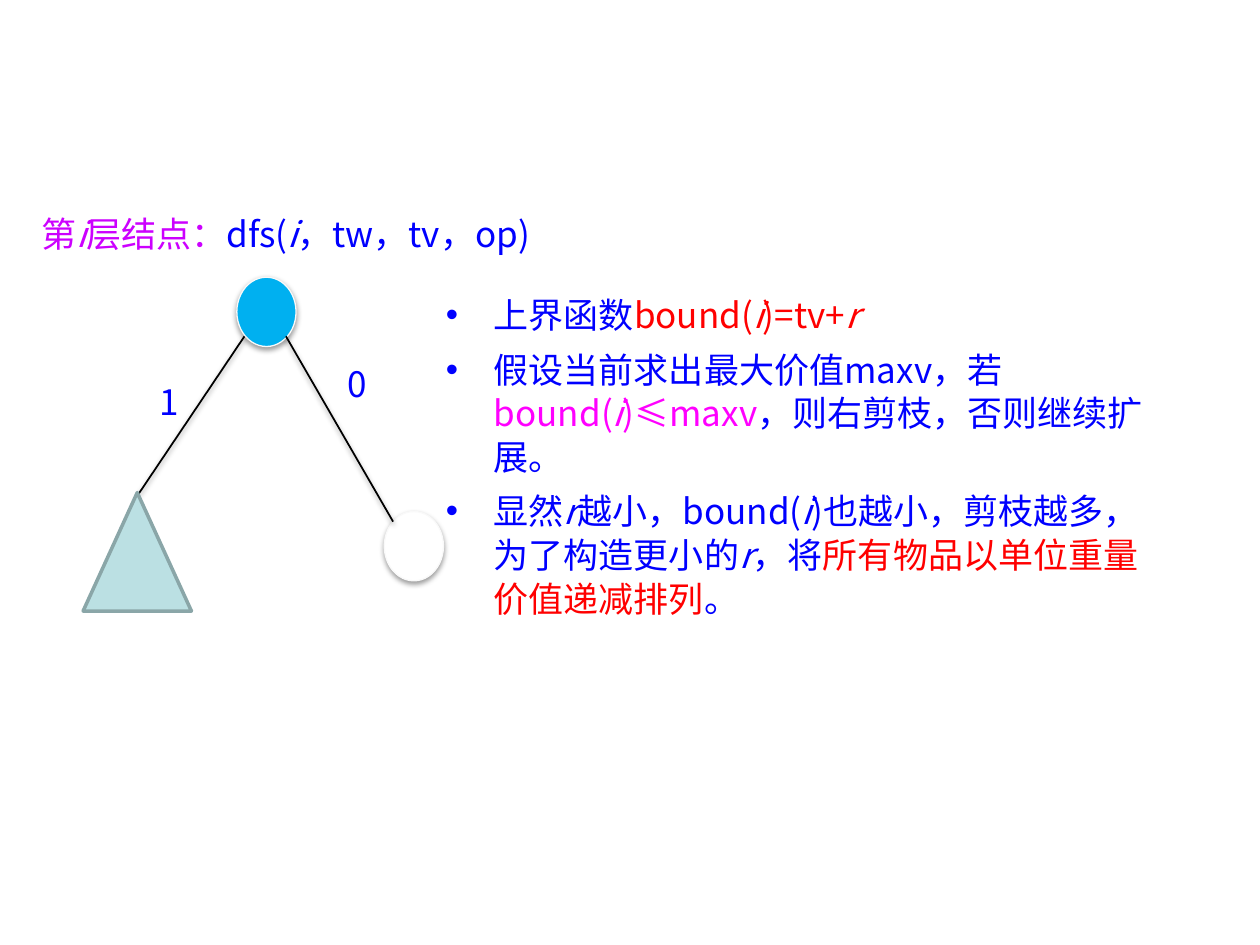
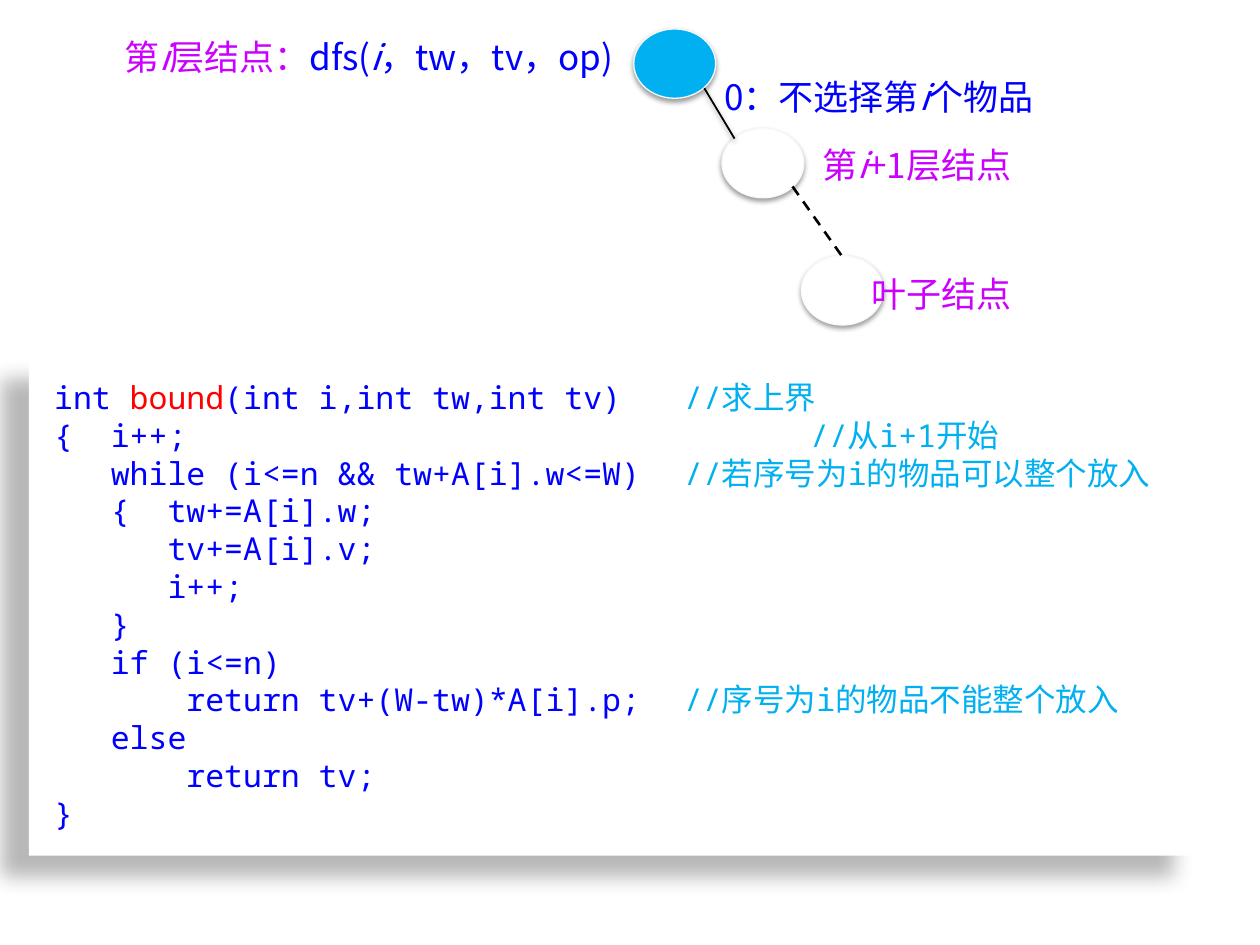
from dataclasses import dataclass
from lxml import etree
from pptx import Presentation
from pptx.dml.color import RGBColor
from pptx.enum.dml import MSO_LINE
from pptx.enum.shapes import MSO_CONNECTOR, MSO_SHAPE
from pptx.enum.text import MSO_ANCHOR, MSO_AUTO_SIZE, PP_ALIGN
from pptx.oxml.ns import qn
from pptx.util import Inches, Pt

ELLIPSE, TRIANGLE, RECTANGLE = MSO_SHAPE.OVAL, MSO_SHAPE.ISOSCELES_TRIANGLE, MSO_SHAPE.RECTANGLE
STRAIGHT, DASH = MSO_CONNECTOR.STRAIGHT, MSO_LINE.DASH
TOP, LEFT, GROW = MSO_ANCHOR.TOP, PP_ALIGN.LEFT, MSO_AUTO_SIZE.SHAPE_TO_FIT_TEXT


@dataclass(frozen=True)
class Theme:
    blue: str = "0000FF"
    red: str = "FF0000"
    pink: str = "FF00FF"
    purple: str = "CC00FF"
    sky: str = "00B0F0"
    white: str = "FFFFFF"
    black: str = "000000"
    node_edge: str = "F9F9F9"
    subtree: str = "BBE0E3"
    subtree_edge: str = "8AA6A8"
    text_font: str = "Noto Sans CJK SC"
    code_font: str = "Noto Sans Mono"
    text_size: int = 20
    code_size: int = 18
    # opacity %, blur pt, distance pt, direction in degrees
    soft_shadow: tuple = (38, 3.1, 1.6, 90)
    panel_shadow: tuple = (28, 11.8, 19.7, 141)


THEME = Theme()
BLUE, RED, PINK, PURPLE, SKY = THEME.blue, THEME.red, THEME.pink, THEME.purple, THEME.sky


def italic(text, color):
    return text, color, True


# Content: a paragraph is a list of runs (text, colour[, italic])
NODE_CALL = [("第", PURPLE), italic("i", PURPLE), ("层结点：", PURPLE),
             ("dfs(", BLUE), italic("i", BLUE), ("，tw，tv，op)", BLUE)]

BOUND_NOTES = [
    [("上界函数", BLUE), ("bound(", RED), italic("i", RED), (")=tv+", RED), italic("r", RED)],
    [("假设当前求出最大价值maxv，若", BLUE), ("bound(", PINK), italic("i", PINK),
     (")≤maxv", PINK), ("，则右剪枝，否则继续扩展。", BLUE)],
    [("显然", BLUE), italic("r", BLUE), ("越小，bound(", BLUE), italic("i", BLUE),
     (")也越小，剪枝越多，为了构造更小的", BLUE), italic("r", BLUE), ("，将", BLUE),
     ("所有物品以单位重量价值递减排列", RED), ("。", BLUE)],
]

BOUND_CODE = [
    [("int ", BLUE), ("bound", RED), ("(int i,int tw,int tv)\t", BLUE), ("//求上界", SKY)],
    [("{  i++;\t\t\t\t\t", BLUE), ("//从i+1开始", SKY)],
    [("   while (i<=n && tw+A[i].w<=W)\t", BLUE), ("//若序号为i的物品可以整个放入", SKY)],
    [("   {  tw+=A[i].w;", BLUE)],
    [("      tv+=A[i].v;", BLUE)],
    [("      i++;", BLUE)],
    [("   }", BLUE)],
    [("   if (i<=n)", BLUE)],
    [("       return tv+(W-tw)*A[i].p;\t", BLUE), ("//序号为i的物品不能整个放入", SKY)],
    [("   else", BLUE)],
    [("       return tv;", BLUE)],
    [("}", BLUE)],
]

# Branch diagram: left, top, width of boxes; left, top of nodes; start, end of edges
BRANCH_LABELS = [
    ((0.23, 1.64, 4.38), NODE_CALL),
    ((1.17, 2.97, 0.39), [("1", BLUE)]),
    ((2.66, 2.83, 0.47), [("0", BLUE)]),
]
BRANCH_NODES = [((1.88, 2.2), SKY), ((3.05, 4.06), THEME.white)]
BRANCH_EDGES = [((1.94, 2.67), (1.1, 3.92)), ((2.27, 2.67), (3.12, 4.14))]

# Right-hand path down to a leaf
PATH_LABELS = [
    ((0.89, 0.23, 5.77), NODE_CALL),
    ((6.43, 1.09, 2.5), [("第", PURPLE), italic("i", PURPLE), ("+1层结点", PURPLE)]),
    ((5.65, 0.55, 3.27), [("0：不选择第", BLUE), italic("i", BLUE), ("个物品", BLUE)]),
    ((6.82, 2.11, 1.74), [("叶子结点", PURPLE)]),
]
PATH_NODES = [((5.03, 0.23), SKY), ((5.73, 1.02), THEME.white), ((6.36, 2.03), THEME.white)]

NODE_HEIGHT = 0.55
LABEL_HEIGHT = 0.44


def rgb(color):
    return RGBColor.from_string(color)


def set_shadow(shape, shadow=None):
    """Replace the theme shadow with the given one, or with none."""
    properties = shape._element.spPr
    effects = etree.SubElement(properties, qn("a:effectLst"))
    if shadow:
        opacity, blur, distance, direction = shadow
        outer = etree.SubElement(effects, qn("a:outerShdw"), blurRad=str(Pt(blur)),
                                 dist=str(Pt(distance)), dir=str(direction * 60000),
                                 algn="ctr", rotWithShape="0")
        color = etree.SubElement(outer, qn("a:srgbClr"), val=THEME.black)
        etree.SubElement(color, qn("a:alpha"), val=str(opacity * 1000))


def add_runs(paragraph, runs, font_name, size):
    for text, color, *slant in runs:
        run = paragraph.add_run()
        run.text = text
        run.font.size = Pt(size)
        run.font.italic = bool(slant)
        run.font.color.rgb = rgb(color)
        run.font.name = font_name
        etree.SubElement(run._r.get_or_add_rPr(), qn("a:ea"), typeface=font_name)


def fill_frame(frame, paragraphs, font_name, size, prepare=None):
    frame.word_wrap = True
    frame.auto_size = GROW
    frame.vertical_anchor = TOP
    for index, runs in enumerate(paragraphs):
        paragraph = frame.paragraphs[0] if index == 0 else frame.add_paragraph()
        paragraph.alignment = LEFT
        if prepare:
            prepare(paragraph, index)
        add_runs(paragraph, runs, font_name, size)


def make_bullet(paragraph, index):
    properties = paragraph._p.get_or_add_pPr()
    properties.set("marL", str(Inches(0.38)))
    properties.set("indent", str(-Inches(0.38)))
    etree.SubElement(properties, qn("a:buFont"), typeface="Arial")
    etree.SubElement(properties, qn("a:buChar"), char="•")
    paragraph.line_spacing = Pt(25)
    paragraph.space_before = Pt(6 if index else 0)


def add_code_tabs(paragraph, index):
    tabs = etree.SubElement(paragraph._p.get_or_add_pPr(), qn("a:tabLst"))
    for stop in range(1, 7):
        etree.SubElement(tabs, qn("a:tab"), pos=str(Inches(stop)), algn="l")


def add_text(slide, box, paragraphs, prepare=None):
    shape = slide.shapes.add_textbox(*map(Inches, box))
    fill_frame(shape.text_frame, paragraphs, THEME.text_font, THEME.text_size, prepare)


def add_label(slide, label):
    box, runs = label
    add_text(slide, (*box, LABEL_HEIGHT), [runs])


def add_figure(slide, kind, box, fill, edge=None, edge_width=0.75, shadow=None):
    shape = slide.shapes.add_shape(kind, *map(Inches, box))
    shape.fill.solid()
    shape.fill.fore_color.rgb = rgb(fill)
    if edge:
        shape.line.color.rgb = rgb(edge)
        shape.line.width = Pt(edge_width)
    else:
        shape.line.fill.background()
    set_shadow(shape, shadow)
    return shape


def add_node(slide, node, width):
    corner, fill = node
    add_figure(slide, ELLIPSE, (*corner, width, NODE_HEIGHT), fill, THEME.node_edge,
               shadow=THEME.soft_shadow)


def add_edge(slide, start, end, width=1, dash=None, shadow=THEME.soft_shadow):
    connector = slide.shapes.add_connector(STRAIGHT, *map(Inches, (*start, *end)))
    connector.line.color.rgb = rgb(THEME.black)
    connector.line.width = Pt(width)
    if dash:
        connector.line.dash_style = dash
    set_shadow(connector, shadow)


def build_branch_slide(slide):
    for node in BRANCH_NODES:
        add_node(slide, node, 0.47)
    for start, end in BRANCH_EDGES:
        add_edge(slide, start, end)
    add_figure(slide, TRIANGLE, (0.66, 3.91, 0.86, 0.94), THEME.subtree, THEME.subtree_edge, 2)
    for label in BRANCH_LABELS:
        add_label(slide, label)
    add_text(slide, (3.44, 2.27, 5.78, 2.36), BOUND_NOTES, make_bullet)


def build_code_slide(slide):
    # Code panel
    panel = add_figure(slide, RECTANGLE, (0.23, 2.84, 9.3, 3.95), THEME.white,
                       shadow=THEME.panel_shadow)
    frame = panel.text_frame
    frame.margin_left, frame.margin_right = Inches(0.2), Inches(0.1)
    frame.margin_top = frame.margin_bottom = Inches(0.16)
    fill_frame(frame, BOUND_CODE, THEME.code_font, THEME.code_size, add_code_tabs)

    # Path from the node to a leaf
    for node in PATH_NODES:
        add_node(slide, node, 0.65)
    add_edge(slide, (5.59, 0.7), (5.83, 1.1))
    add_edge(slide, (6.29, 1.48), (6.68, 2.03), 1.5, DASH, None)
    for label in PATH_LABELS:
        add_label(slide, label)


def main():
    presentation = Presentation()
    presentation.slide_width, presentation.slide_height = Inches(10), Inches(7.5)
    blank = presentation.slide_layouts[6]
    for build in (build_branch_slide, build_code_slide):
        build(presentation.slides.add_slide(blank))
    presentation.save("out.pptx")


if __name__ == "__main__":
    main()
